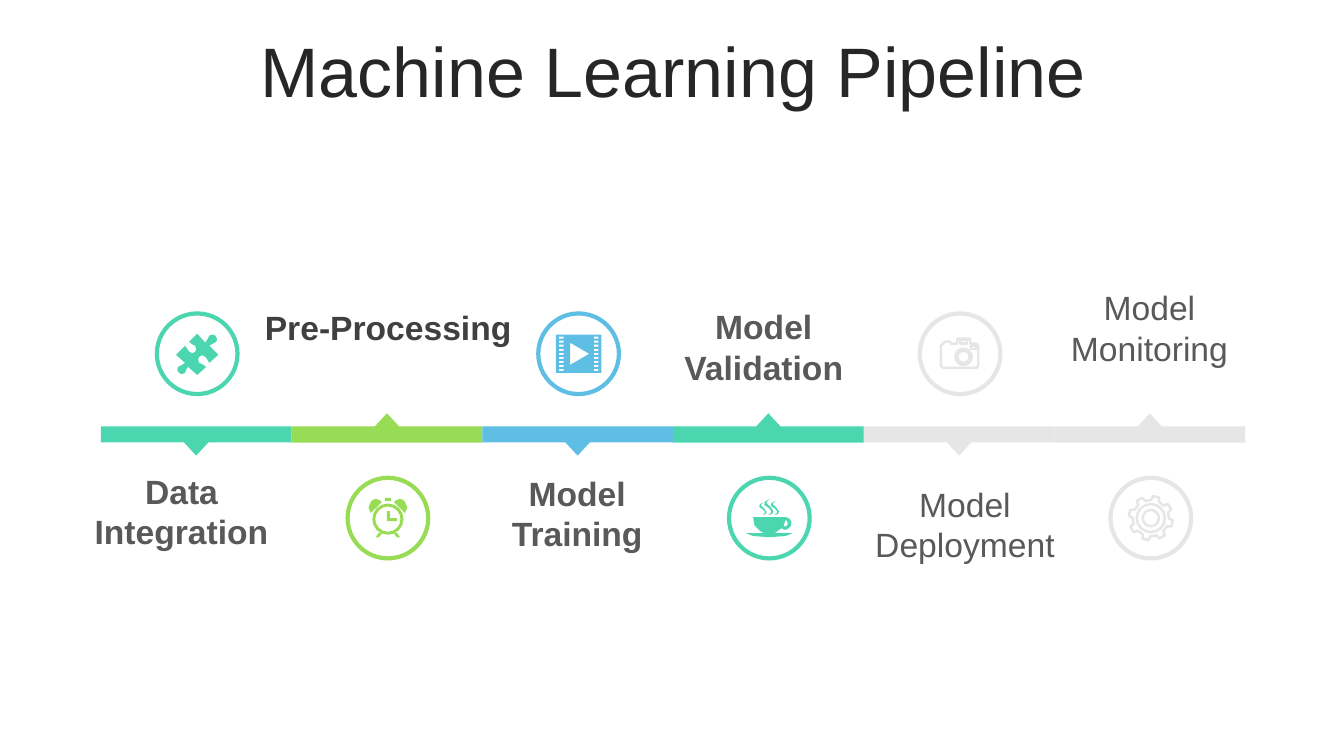
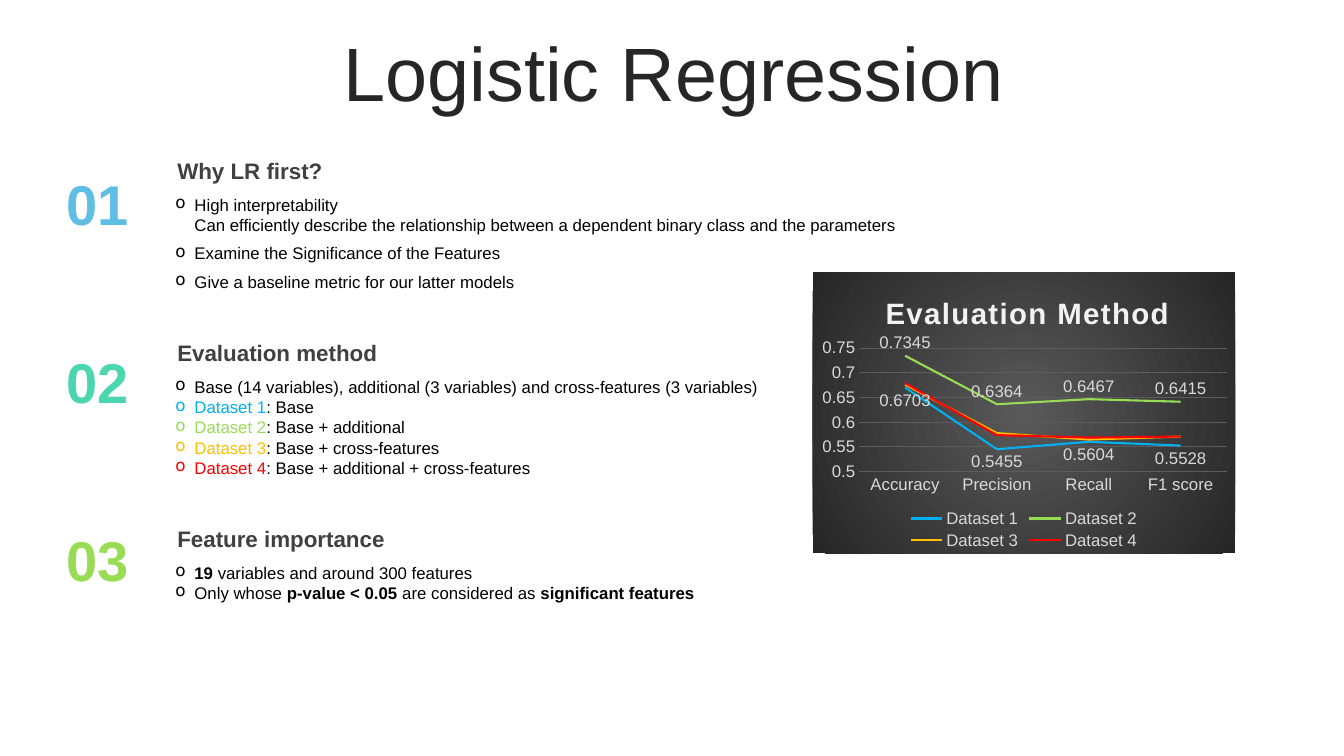
from math import cos, pi, sin

from lxml import etree
from pptx import Presentation
from pptx.chart.data import CategoryChartData
from pptx.dml.color import RGBColor
from pptx.enum.chart import (XL_CHART_TYPE, XL_LABEL_POSITION,
                             XL_LEGEND_POSITION, XL_TICK_MARK)
from pptx.enum.shapes import MSO_SHAPE
from pptx.enum.text import MSO_ANCHOR, PP_ALIGN
from pptx.oxml.ns import qn
from pptx.util import Inches, Pt

LINE, OVAL = XL_CHART_TYPE.LINE, MSO_SHAPE.OVAL
ABOVE, BELOW = XL_LABEL_POSITION.ABOVE, XL_LABEL_POSITION.BELOW
BOTTOM, NO_TICK = XL_LEGEND_POSITION.BOTTOM, XL_TICK_MARK.NONE
LEFT, CENTER = PP_ALIGN.LEFT, PP_ALIGN.CENTER
TOP, MIDDLE = MSO_ANCHOR.TOP, MSO_ANCHOR.MIDDLE
FONT = "Arial"
WIDE, HIGH = 13.33, 7.5
HEX = {
    "teal": "4CD6B0", "lime": "98DC56", "sky": "5EBEE4", "mist": "E7E6E6",
    "white": "FFFFFF", "black": "000000", "title": "262626", "head": "404040",
    "label": "595959", "blue": "00B0F0", "gold": "FFC000", "red": "FF0000",
    "pale": "D9D9D9", "bright": "F2F2F2", "grid": "5C5C5C",
}

# Label, band colour, text colour, bold, icon, label left, top and width
STEPS = [
    ("Data Integration", "teal", "label", True, "puzzle", 0.55, 4.62, 2.5),
    ("Pre-Processing", "lime", "head", True, "clock", 2.52, 3, 2.66),
    ("Model Training", "sky", "label", True, "film", 4.93, 4.64, 1.59),
    ("Model Validation", "teal", "label", True, "cup", 6.63, 2.99, 1.89),
    ("Model Deployment", "mist", "label", False, "camera", 8.51, 4.75, 2.12),
    ("Model Monitoring", "mist", "label", False, "gear", 10.34, 2.8, 2.12),
]

# Number colour, heading, heading top, body width, space before, lines.
# A line is a list of runs (text, colour, bold), or a plain string that
# continues the bullet above it.
PARTS = [
    ("sky", "Why LR first?", 1.51, 7.61, 6, [
        [("High interpretability", "black", False)],
        "Can efficiently describe the relationship between a dependent "
        "binary class and the parameters",
        [("Examine the Significance of the Features", "black", False)],
        [("Give a baseline metric for our latter models", "black", False)],
    ]),
    ("teal", "Evaluation method", 3.32, 6.15, 0, [
        [("Base (14 variables), additional (3 variables) and cross-features "
          "(3 variables)", "black", False)],
        [("Dataset 1", "blue", False), (": Base", "black", False)],
        [("Dataset 2", "lime", False), (": Base + additional", "black", False)],
        [("Dataset 3", "gold", False),
         (": Base + cross-features", "black", False)],
        [("Dataset 4", "red", False),
         (": Base + additional + cross-features", "black", False)],
    ]),
    ("lime", "Feature importance", 5.16, 5.86, 0, [
        [("19", "black", True),
         (" variables and around 300 features", "black", False)],
        [("Only whose ", "black", False), ("p-value < 0.05 ", "black", True),
         ("are considered as ", "black", False),
         ("significant features", "black", True)],
    ]),
]

METRICS = ["Accuracy", "Precision", "Recall", "F1 score"]
SCORES = [
    ("Dataset 1", "blue", BELOW, (0.6703, 0.5455, 0.5604, 0.5528)),
    ("Dataset 2", "lime", ABOVE, (0.7345, 0.6364, 0.6467, 0.6415)),
    ("Dataset 3", "gold", None, (0.676, 0.578, 0.565, 0.571)),
    ("Dataset 4", "red", None, (0.679, 0.574, 0.569, 0.571)),
]

# Icon outlines in hundredths of an inch around the icon's centre:
# pairs are corners, sextuples are Bezier curves.
PUZZLE = [
    (18, -18), (20, -16, 20, -14, 19, -12), (17, -9, 14, -11, 12, -8),
    (21, 1), (12, 9), (9, 7, 11, 4, 8, 3), (6, 1, 4, 1, 2, 3),
    (1, 4, 0, 7, 2, 9), (5, 11, 6, 10, 9, 13), (0, 21), (-9, 13),
    (-12, 15, -10, 16, -12, 19), (-14, 21, -17, 20, -18, 19),
    (-20, 18, -20, 15, -19, 13), (-17, 11, -14, 12, -12, 9), (-21, 1),
    (-12, -8), (-9, -6, -10, -3, -8, -2), (-6, 0, -3, 0, -2, -2),
    (-1, -3, 0, -6, -2, -8), (-5, -10, -6, -9, -8, -12), (0, -20),
    (8, -11), (11, -14, 10, -15, 12, -18), (14, -20, 17, -19, 18, -18)]
BELL = [(-12, -19), (-10, -19, -8, -18, -6, -16), (-17, -5),
        (-20, -8, -20, -13, -17, -16), (-16, -18, -14, -19, -12, -19)]
LEG = [(-9, 14.5), (-12, 19), (-9, 19), (-6, 15.5)]
HANDS = [(-1, -7), (2, -7), (2, 0), (9, 0), (9, 3), (-1, 3)]
BOWL = [
    (16, -1), (19, -1, 21, 1, 22, 4), (22, 7, 21, 10, 18, 11),
    (16, 12, 14, 12, 12, 10), (8, 13), (5, 15), (23, 15),
    (23, 17, 12, 19, 0, 19), (-13, 19, -23, 17, -23, 15), (-5, 15),
    (-9, 13), (-14, 10, -17, 5, -16, -1)]
GRIP = [(16, 2), (14, 8), (15, 8, 16, 9, 17, 8), (18, 7, 19, 6, 18, 4),
        (18, 3, 17, 2, 16, 2)]
STEAM = [(1, -19), (-1, -17, -3, -17, -3, -15), (-2, -11, 5, -11, 4, -7),
         (4, -4, 3, -4, -1, -3), (1, -4, 2, -5, 2, -7),
         (2, -10, -3, -11, -5, -13), (-6, -16, -4, -17, 1, -19)]
BODY = [(-2, -15), (9, -15), (10, -14), (10, -10), (16, -10), (18, -8),
        (18, 12), (16, 14), (-17, 14), (-19, 12), (-19, -8), (-17, -10),
        (-15, -12), (-10, -12), (-9, -10), (-3, -10), (-3, -14)]


def ring(r, x=0, y=0, n=16):
    return [(x + r * cos(2 * pi * i / n), y + r * sin(2 * pi * i / n))
            for i in range(n)]


def box(x, y, w, h):
    return [(x, y), (x + w, y), (x + w, y + h), (x, y + h)]


def shift(path, dx=0, dy=0, sx=1, sy=1):
    return [tuple(v * sy + dy if i % 2 else v * sx + dx
                  for i, v in enumerate(node)) for node in path]


def flat(path, cuts=2):
    """Turn the curves of a path into short straight pieces."""
    dots = []
    for node in path:
        if len(node) == 2:
            dots.append(node)
            continue
        ends = [dots[-1], node[:2], node[2:4], node[4:]]
        for t in (i / cuts for i in range(1, cuts + 1)):
            mix = ((1 - t) ** 3, 3 * t * (1 - t) ** 2,
                   3 * t * t * (1 - t), t ** 3)
            dots.append(tuple(sum(m * e[k] for m, e in zip(mix, ends))
                              for k in (0, 1)))
    return dots


def cog(teeth=8, lean=14):
    dots = []
    for i in range(teeth):
        for turn, r in ((-13, 18), (-8, 22), (8, 22), (13, 18)):
            a = (i * 360 / teeth + lean + turn) * pi / 180
            dots.append((r * sin(a), -r * cos(a)))
    return dots


ICONS = {
    "puzzle": [PUZZLE],
    "clock": [ring(15.5, 0, 1), ring(12.5, 0, 1), HANDS, box(-3, -20, 6, 3)]
    + [shift(p, sx=s) for p in (BELL, LEG) for s in (1, -1)],
    "film": [box(-22.5, -19, 45, 38), [(-8.5, -11), (-8.5, 11), (10.5, 0)]]
    + [box(x, 4 * i - 17, 4.5, 2) for i in range(9) for x in (-19.5, 15)],
    "cup": [BOWL, GRIP] + [shift(STEAM, dx, 3 * s - 3, s, s)
                           for dx, s in ((-6, 0.8), (0, 1), (6, 0.9))],
    "camera": [BODY, ring(6, 3.5, 3), ring(8, 3.5, 3),
               box(11, -8, 5, 3), box(0, -14, 7, 4)],
    "gear": [cog(), ring(8), ring(14)],
}


def color(name):
    return RGBColor.from_string(HEX[name])


def style(font, size, name, bold=False):
    font.name, font.size, font.bold = FONT, Pt(size), bold
    font.color.rgb = color(name)


def paint(shape, fill=None, line=None, width=1.75):
    shape.shadow.inherit = False
    if fill:
        shape.fill.solid()
        shape.fill.fore_color.rgb = color(fill)
    else:
        shape.fill.background()
    if line:
        shape.line.color.rgb = color(line)
        shape.line.width = Pt(width)
    else:
        shape.line.fill.background()


def draw(slide, paths, fill, line=None):
    """Draw closed paths, given in inches, as one freeform."""
    pen = None
    for path in paths:
        dots = [(Inches(x), Inches(y)) for x, y in flat(path)]
        if pen:
            pen.move_to(*dots[0])
        else:
            pen = slide.shapes.build_freeform(*dots[0], scale=1.0)
        pen.add_line_segments(dots[1:], close=True)
    paint(pen.convert_to_shape(), fill, line)


def frame(slide, x, y, w, h, anchor=TOP):
    tf = slide.shapes.add_textbox(*map(Inches, (x, y, w, h))).text_frame
    tf.word_wrap, tf.vertical_anchor = True, anchor
    return tf


def write(slide, text, at, size, name, bold=False, align=CENTER, anchor=TOP):
    tf = frame(slide, *at, anchor)
    tf.text = text
    para = tf.paragraphs[0]
    para.alignment = align
    style(para.runs[0].font, size, name, bold)
    return para


def start(deck, title, size, gap):
    slide = deck.slides.add_slide(deck.slide_layouts[6])
    para = write(slide, title, (0.35, 0.37, 12.66, 0.79), size, "title",
                 anchor=MIDDLE)
    para.line_spacing = gap
    return slide


def pipeline(deck):
    slide = start(deck, "Machine Learning Pipeline", 50, 0.8)
    x0, step, mid, half, tip, size = 1, 11.35 / 6, 4.31, 0.08, 0.21, 0.8
    for i, (text, hue, ink, bold, icon, x, y, w) in enumerate(STEPS):
        left, turn = x0 + i * step, -1 if i % 2 else 1
        cx, cy = left + step / 2 + 0.01, 5.14 if i % 2 else 3.51
        band = [(0, -half), (step, -half), (step, half),
                (step / 2 + 0.12, half), (step / 2, tip),
                (step / 2 - 0.12, half), (0, half)]
        draw(slide, [shift(band, left, mid, 1, turn)], hue)
        disc = slide.shapes.add_shape(
            OVAL, *map(Inches, (cx - size / 2, cy - size / 2, size, size)))
        paint(disc, line=hue, width=3)
        paths = [shift(p, cx, cy, 0.01, 0.01) for p in ICONS[icon]]
        if hue == "mist":
            draw(slide, paths, "white", hue)
        else:
            draw(slide, paths, hue)
        write(slide, text, (x, y, w, 0.91), 24, ink, bold)


def outline(slide, lines, at, gap):
    tf = frame(slide, *at)
    for i, line in enumerate(lines):
        para = tf.paragraphs[0] if i == 0 else tf.add_paragraph()
        more = isinstance(line, str)
        ppr = para._p.get_or_add_pPr()
        ppr.set("marL", str(Inches(0.19)))
        ppr.set("indent", str(0 if more else -Inches(0.19)))
        if not more:
            etree.SubElement(ppr, qn("a:buChar")).set("char", "o")
            if i:
                para.space_before = Pt(gap)
        for text, name, bold in [(line, "black", False)] if more else line:
            run = para.add_run()
            run.text = text
            style(run.font, 12, name, bold)


def place(node, index, **spots):
    """Give a chart part a manual layout as shares of the chart."""
    for old in node.findall(qn("c:layout")):
        node.remove(old)
    layout = etree.Element(qn("c:layout"))
    node.insert(index, layout)
    manual = etree.SubElement(layout, qn("c:manualLayout"))
    if "w" in spots:
        etree.SubElement(manual, qn("c:layoutTarget")).set("val", "inner")
    for key in "xy":
        etree.SubElement(manual, qn(f"c:{key}Mode")).set("val", "edge")
    for key, val in spots.items():
        etree.SubElement(manual, qn(f"c:{key}")).set("val", str(val))


def shade(chart):
    """Fill the chart's ground with a round gradient."""
    props = etree.Element(qn("c:spPr"))
    grad = etree.SubElement(props, qn("a:gradFill"))
    stops = etree.SubElement(grad, qn("a:gsLst"))
    for pos, name in ((0, "label"), (100000, "title")):
        stop = etree.SubElement(stops, qn("a:gs"), pos=str(pos))
        etree.SubElement(stop, qn("a:srgbClr"), val=HEX[name])
    ramp = etree.SubElement(grad, qn("a:path"))
    ramp.set("path", "circle")
    etree.SubElement(ramp, qn("a:fillToRect"),
                     {side: "50000" for side in "ltrb"})
    line = etree.SubElement(props, qn("a:ln"))
    etree.SubElement(line, qn("a:noFill"))
    chart._chartSpace.find(qn("c:chart")).addnext(props)


def plot(slide):
    data = CategoryChartData()
    data.categories = METRICS
    for name, _, _, vals in SCORES:
        data.add_series(name, vals)
    chart = slide.shapes.add_chart(
        LINE, *map(Inches, (8.06, 2.7, 4.19, 2.79)), data).chart
    style(chart.font, 12, "pale")
    shade(chart)
    chart.has_title = True
    title = chart.chart_title
    title.text_frame.text = "Evaluation Method"
    font = title.text_frame.paragraphs[0].runs[0].font
    style(font, 21, "bright", True)
    font._element.set("spc", "100")
    place(title._element, 1, x=0.16, y=0.06)
    place(chart._chartSpace.find(".//" + qn("c:plotArea")), 0,
          x=0.11, y=0.27, w=0.87, h=0.44)
    chart.has_legend = True
    chart.legend.position, chart.legend.include_in_layout = BOTTOM, False
    style(chart.legend.font, 12, "pale")
    cat, val = chart.category_axis, chart.value_axis
    for axis in (cat, val):
        axis.major_tick_mark = axis.minor_tick_mark = NO_TICK
        style(axis.tick_labels.font, 12, "pale")
    val.minimum_scale, val.maximum_scale, val.major_unit = 0.5, 0.75, 0.05
    val.format.line.fill.background()
    for part in (cat, val.major_gridlines):
        part.format.line.color.rgb = color("grid")
        part.format.line.width = Pt(0.75)
    for line, (_, hue, spot, _) in zip(chart.plots[0].series, SCORES):
        line.smooth = False
        line.format.line.color.rgb = color(hue)
        line.format.line.width = Pt(1.5)
        if spot is not None:
            tags = line.data_labels
            tags.show_value, tags.position = True, spot
            style(tags.font, 12, "pale")


def regression(deck):
    slide = start(deck, "Logistic Regression", 54, 0.9)
    for i, (hue, head, y, w, gap, lines) in enumerate(PARTS):
        write(slide, f"{i + 1:02}", (0.55, 1.63 + 1.765 * i, 0.83, 0.77),
              40, hue, True)
        write(slide, head, (1.66, y, 5.81, 0.37), 16, "head", True, LEFT)
        outline(slide, lines, (1.64, y + 0.37, w, 1.1), gap)
    plot(slide)


def main():
    deck = Presentation()
    deck.slide_width, deck.slide_height = Inches(WIDE), Inches(HIGH)
    pipeline(deck)
    regression(deck)
    deck.save("out.pptx")


if __name__ == "__main__":
    main()
